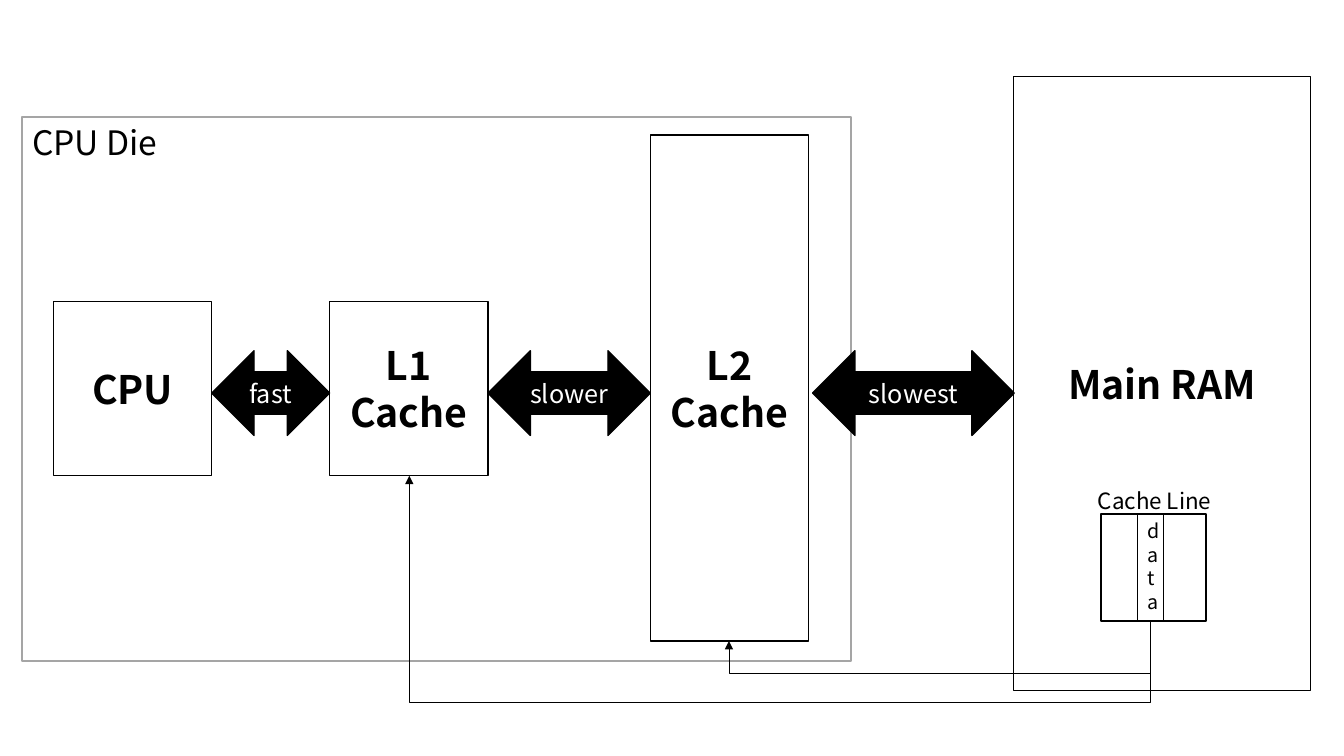
"""Build a slide that shows the path of data from main RAM to the CPU caches."""
from lxml.etree import SubElement
from pptx import Presentation
from pptx.dml.color import RGBColor
from pptx.enum.shapes import MSO_CONNECTOR, MSO_SHAPE
from pptx.enum.text import MSO_ANCHOR, PP_ALIGN
from pptx.oxml.ns import qn
from pptx.util import Inches, Pt

BLACK = RGBColor(0, 0, 0)
WHITE = RGBColor(255, 255, 255)
GRAY = RGBColor(0xA5, 0xA5, 0xA5)
FONT = "Noto Sans CJK KR"


def write(shape, text, size=28, color=BLACK, bold=False, mid=True):
    """Fill a shape with text, centred both ways or at the top left."""
    frame = shape.text_frame
    frame.word_wrap = True
    frame.vertical_anchor = MSO_ANCHOR.MIDDLE if mid else MSO_ANCHOR.TOP
    frame.text = text
    for para in frame.paragraphs:
        para.alignment = PP_ALIGN.CENTER if mid else PP_ALIGN.LEFT
        font = para.font
        font.name, font.size, font.bold = FONT, Pt(size), bold
        font.color.rgb = color


def block(slide, box, text="", kind=MSO_SHAPE.RECTANGLE, fill=WHITE, line=BLACK, **style):
    """Draw a filled and outlined shape with its text."""
    shape = slide.shapes.add_shape(kind, *map(Inches, box))
    shape.shadow.inherit = False
    shape.fill.solid()
    shape.fill.fore_color.rgb = fill
    shape.line.color.rgb = line
    shape.line.width = Pt(1)
    if text:
        write(shape, text, **style)


def arrow(slide, left, right, mid, text):
    """Draw a labelled double arrow between two edges."""
    high = 0.84
    block(slide, (left, mid - high / 2, right - left, high), text,
          kind=MSO_SHAPE.LEFT_RIGHT_ARROW, fill=BLACK, size=18, color=WHITE)


def die(slide, box):
    """Draw the CPU die with its core, caches and inner arrows."""
    x, y, _, _ = box
    block(slide, box, "CPU Die", line=GRAY, size=24, mid=False)
    wide = 1.57
    parts = [("CPU", 0.31, 1.83, 1.73), ("L1\nCache", 3.05, 1.83, 1.73),
             ("L2\nCache", 6.23, 0.18, 5.02)]
    for text, left, top, high in parts:
        block(slide, (x + left, y + top, wide, high), text, bold=True)
    for text, one, two in zip(("fast", "slower"), parts, parts[1:]):
        arrow(slide, x + one[1] + wide, x + two[1], y + 2.74, text)


def memory(slide, box):
    """Draw the main RAM block."""
    block(slide, box, "Main RAM", bold=True)


def store(slide, box):
    """Draw the cache line with its data cell and title."""
    x, y, _, high = box
    block(slide, box)
    block(slide, (x + 0.36, y, 0.26, high), "data", size=14, mid=False)
    title = slide.shapes.add_textbox(*map(Inches, (x - 0.13, y - 0.32, 1.43, 0.37)))
    write(title, "Cache Line", size=16, mid=False)


def route(slide, start, end, low):
    """Draw an elbow arrow that dips to a low level between two points."""
    (x1, y1), (x2, y2) = start, end
    x, y = (x1 + x2) / 2, (y1 + y2) / 2
    half, span = (y2 - y1) / 2, (x1 - x2) / 2
    ends = x - half, y - span, x + half, y + span
    link = slide.shapes.add_connector(MSO_CONNECTOR.ELBOW, *map(Inches, ends))
    link.line.color.rgb = BLACK
    link.line.width = Pt(0.5)
    props = link._element.spPr
    props.find(qn("a:xfrm")).set("rot", "5400000")
    bend = round((low - y1) / (y2 - y1) * 100000)
    guides = props.find(qn("a:prstGeom")).find(qn("a:avLst"))
    SubElement(guides, qn("a:gd"), name="adj1", fmla=f"val {bend}")
    SubElement(props.find(qn("a:ln")), qn("a:tailEnd"), type="triangle")
    SubElement(props, qn("a:effectLst"))


def main():
    """Build and save the slide."""
    deck = Presentation()
    deck.slide_width, deck.slide_height = Inches(13.33), Inches(7.5)
    slide = deck.slides.add_slide(deck.slide_layouts[6])
    die(slide, (0.22, 1.16, 8.22, 5.4))
    memory(slide, (10.05, 0.76, 2.95, 6.09))
    arrow(slide, 8.06, 10.06, 3.9, "slowest")
    store(slide, (10.92, 5.1, 1.04, 1.06))
    data = (11.41, 6.16)
    route(slide, data, (4.06, 4.72), 6.97)
    route(slide, data, (7.23, 6.36), 6.68)
    deck.save("out.pptx")


if __name__ == "__main__":
    main()
